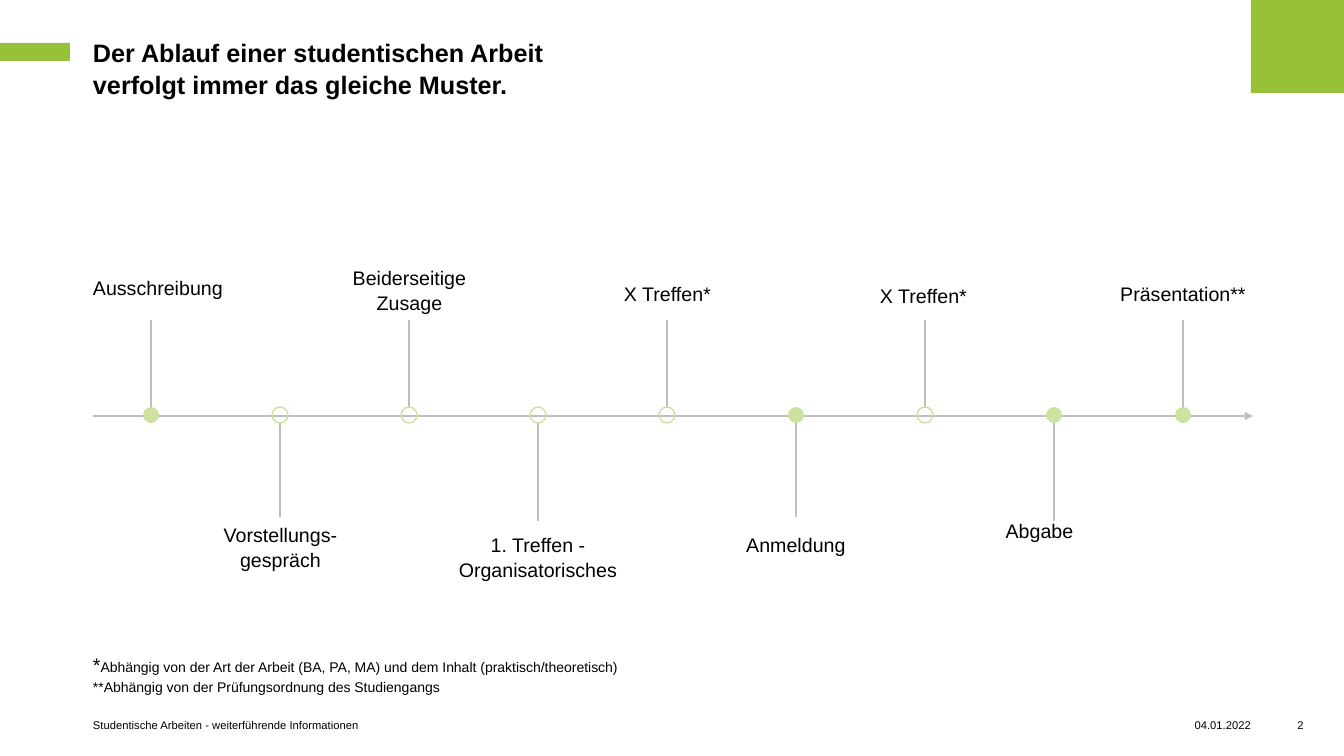
"""Build the slide showing the timeline of a student thesis."""
import dataclasses

import lxml.etree
import pptx
import pptx.dml.color
import pptx.enum.shapes
import pptx.enum.text
import pptx.oxml.ns
import pptx.util

ALIGN = pptx.enum.text.PP_ALIGN
ANCHOR = pptx.enum.text.MSO_ANCHOR
SHAPE = pptx.enum.shapes.MSO_SHAPE


@dataclasses.dataclass(frozen=True)
class Theme:
    font: str = "Arial"
    text: str = "000000"
    brand: str = "97C139"
    node: str = "CDE29E"
    line: str = "BFBFBF"
    title_size: int = 18
    label_size: int = 14
    note_size: int = 10
    footer_size: int = 8
    line_width: float = 1.5
    node_width: int = 1
    spacing: float = 1.05


def px(length):
    return pptx.util.Emu(round(length * 12192000 / 1344))


def rgb(value):
    return pptx.dml.color.RGBColor.from_string(value)


class SlideBuilder:
    def __init__(self, slide, theme):
        self.slide = slide
        self.theme = theme

    def style_run(self, run, size, bold=False):
        run.font.name = self.theme.font
        run.font.size = pptx.util.Pt(size)
        run.font.bold = bold
        run.font.color.rgb = rgb(self.theme.text)

    def text(self, box, content, size, align=ALIGN.LEFT, bold=False, anchor=ANCHOR.TOP):
        frame = self.slide.shapes.add_textbox(*map(px, box)).text_frame
        frame.margin_left = frame.margin_right = 0
        frame.margin_top = frame.margin_bottom = 0
        frame.word_wrap = True
        frame.vertical_anchor = anchor
        frame.text = content
        for paragraph in frame.paragraphs:
            paragraph.alignment = align
            paragraph.line_spacing = self.theme.spacing
            for run in paragraph.runs:
                self.style_run(run, size, bold)
        return frame

    def shape(self, kind, box, color, filled=True):
        shape = self.slide.shapes.add_shape(kind, *map(px, box))
        shape.shadow.inherit = False
        if filled:
            shape.fill.solid()
            shape.fill.fore_color.rgb = rgb(color)
            shape.line.fill.background()
        else:
            shape.fill.background()
            shape.line.color.rgb = rgb(color)
            shape.line.width = pptx.util.Pt(self.theme.node_width)

    def line(self, start, end, arrow=False):
        connector = self.slide.shapes.add_connector(
            pptx.enum.shapes.MSO_CONNECTOR.STRAIGHT, *map(px, start + end))
        connector.line.color.rgb = rgb(self.theme.line)
        connector.line.width = pptx.util.Pt(self.theme.line_width)
        properties = connector._element.spPr
        qn = pptx.oxml.ns.qn
        if arrow:
            lxml.etree.SubElement(properties.find(qn("a:ln")), qn("a:tailEnd"), type="triangle")
        lxml.etree.SubElement(properties, qn("a:effectLst"))


MILESTONES = [
    ("Ausschreibung", True, 320, (92, 275, 132, 31)),
    ("Vorstellungs-gespräch", False, 517, (220, 522, 121, 41)),
    ("Beiderseitige Zusage", False, 320, (350, 265, 119, 40)),
    ("1. Treffen - Organisatorisches", False, 521, (453, 532, 170, 41)),
    ("X Treffen*", False, 320, (597, 281, 141, 47)),
    ("Anmeldung", True, 517, (735, 532, 122, 71)),
    ("X Treffen*", False, 320, (853, 283, 141, 47)),
    ("Abgabe", True, 521, (969, 518, 141, 29)),
    ("Präsentation**", True, 320, (1119, 281, 128, 71)),
]
FIRST_NODE, NODE_STEP, NODE_SIZE = 151, 129, 16
NODE_Y, AXIS_Y = 415, 416


def main():
    deck = pptx.Presentation()
    deck.slide_width, deck.slide_height = px(1344), px(756)
    theme = Theme()
    builder = SlideBuilder(deck.slides.add_slide(deck.slide_layouts[6]), theme)

    builder.shape(SHAPE.RECTANGLE, (1251, 0, 93, 93), theme.brand)
    builder.shape(SHAPE.RECTANGLE, (0, 43, 70, 18), theme.brand)
    builder.text((93, 36, 1159, 56),
                 "Der Ablauf einer studentischen Arbeit\vverfolgt immer das gleiche Muster.",
                 theme.title_size, bold=True)

    nodes_x = [FIRST_NODE + NODE_STEP * i for i in range(len(MILESTONES))]
    for x, (_, _, stem_end, _) in zip(nodes_x, MILESTONES):
        side = 1 if stem_end > NODE_Y else -1
        builder.line((x, NODE_Y + side * NODE_SIZE // 2), (x, stem_end))
    builder.line((93, AXIS_Y), (1253, AXIS_Y), arrow=True)
    for x, (label, filled, _, label_box) in zip(nodes_x, MILESTONES):
        node_box = (x - NODE_SIZE // 2, NODE_Y - NODE_SIZE // 2, NODE_SIZE, NODE_SIZE)
        builder.shape(SHAPE.OVAL, node_box, theme.node, filled)
        builder.text(label_box, label, theme.label_size, ALIGN.CENTER)

    footnotes = builder.text((93, 652, 553, 43),
                             "*\n**Abhängig von der Prüfungsordnung des Studiengangs",
                             theme.note_size)
    meeting_note, exam_note = footnotes.paragraphs
    meeting_note.runs[0].font.size = pptx.util.Pt(theme.label_size)
    explanation = meeting_note.add_run()
    explanation.text = ("Abhängig von der Art der Arbeit (BA, PA, MA) "
                        "und dem Inhalt (praktisch/theoretisch)")
    builder.style_run(explanation, theme.note_size)
    exam_note.space_before = pptx.util.Pt(1)

    for left, width, content, align in (
        (93, 992, "Studentische Arbeiten - weiterführende Informationen", ALIGN.LEFT),
        (1164, 87, "04.01.2022", ALIGN.RIGHT),
        (1257, 87, "2", ALIGN.CENTER),
    ):
        builder.text((left, 719, width, 13), content, theme.footer_size, align,
                     anchor=ANCHOR.BOTTOM)

    deck.save("out.pptx")


if __name__ == "__main__":
    main()
